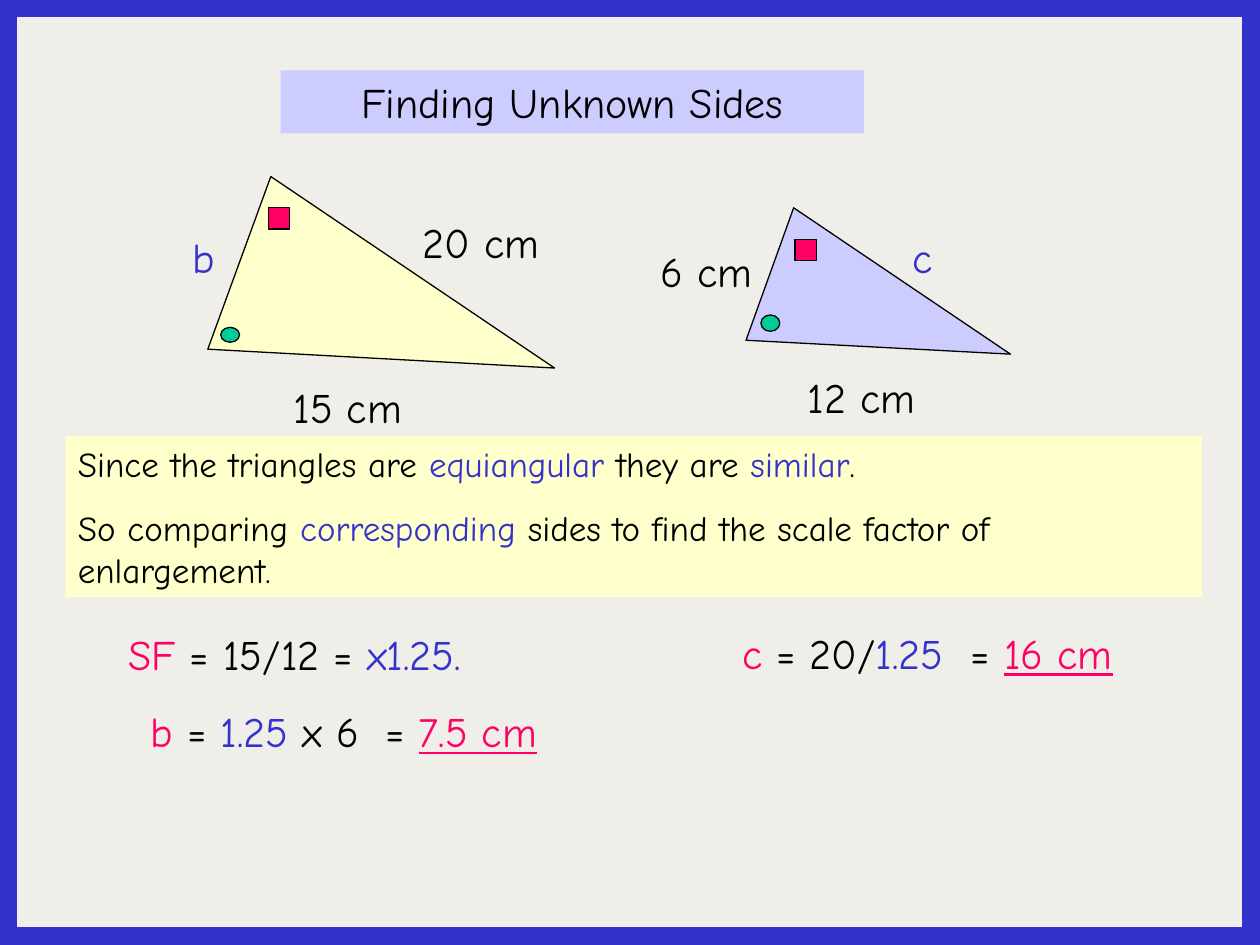
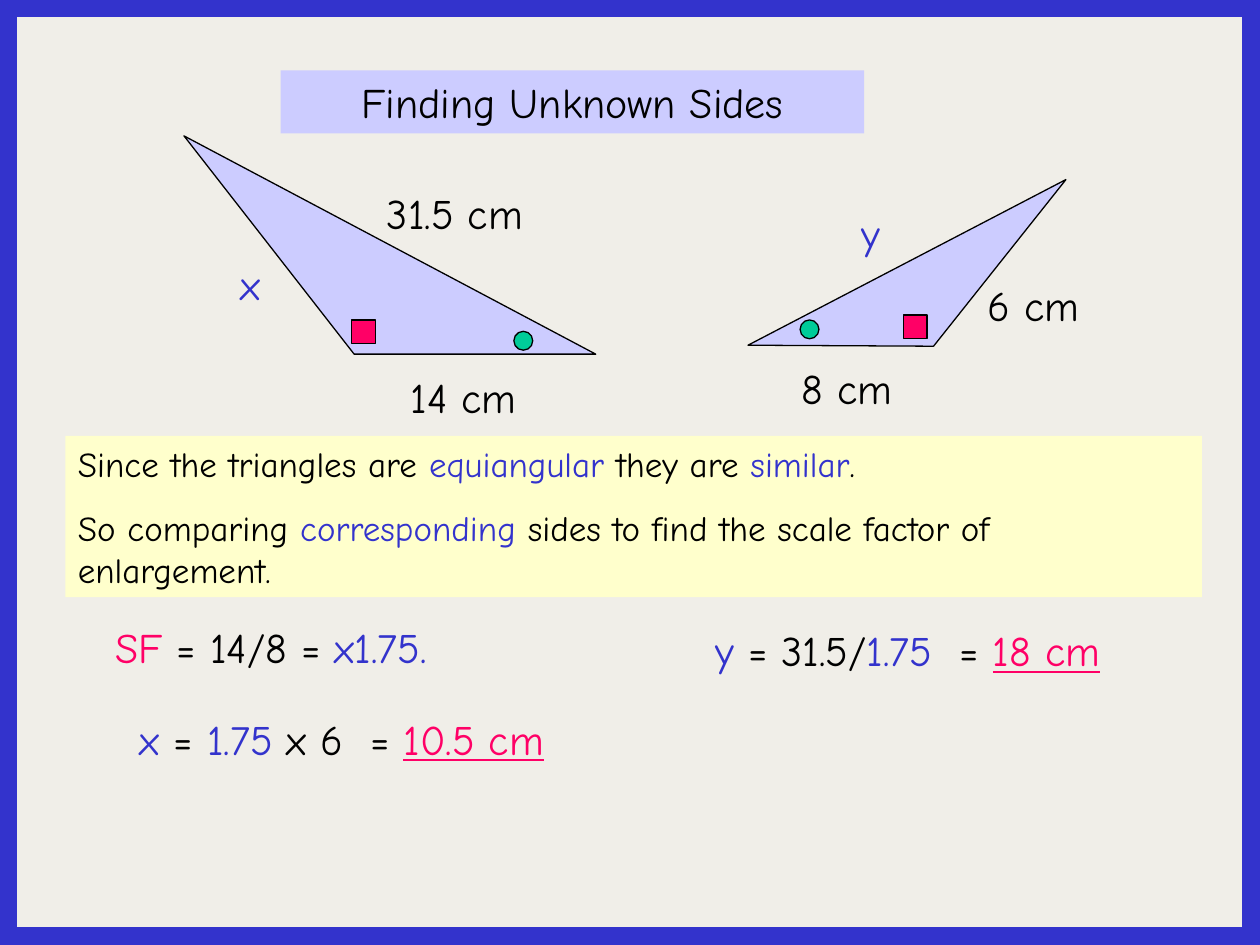
from lxml import etree
from pptx import Presentation
from pptx.dml.color import RGBColor
from pptx.enum.shapes import MSO_SHAPE
from pptx.enum.text import MSO_ANCHOR, PP_ALIGN
from pptx.oxml.ns import qn
from pptx.util import Cm, Pt

RECT, OVAL = MSO_SHAPE.RECTANGLE, MSO_SHAPE.OVAL
LEFT, CENTER = PP_ALIGN.LEFT, PP_ALIGN.CENTER
TOP = MSO_ANCHOR.TOP
FONT = "Comic Neue"
WIDTH, HEIGHT = 25.4, 19.05
LINE_HEIGHT = 1.27
PAPER, BLACK, BLUE, PINK = "F0EEE8", "000000", "3333CC", "FF0066"
LILAC, CREAM, GREEN = "CCCCFF", "FFFFCC", "00CC99"

EXPLANATION = [
    [("Since the triangles are ", BLACK), ("equiangular", BLUE),
     (" they are ", BLACK), ("similar", BLUE), (".", BLACK)],
    [("So comparing ", BLACK), ("corresponding", BLUE),
     (" sides to find the scale factor of enlargement.", BLACK)],
]


def rgb(code):
    """Turn a hex string into a colour."""
    return RGBColor.from_string(code)


def style(shape, fill=None, line=None, width=0.75):
    """Set the fill and outline of a shape and drop its shadow."""
    shape.shadow.inherit = False
    if fill:
        shape.fill.solid()
        shape.fill.fore_color.rgb = rgb(fill)
    else:
        shape.fill.background()
    if line:
        shape.line.color.rgb = rgb(line)
        shape.line.width = Pt(width)
    else:
        shape.line.fill.background()


def add_box(s, kind, x, y, w, h, fill=None, line=None, width=0.75):
    """Add a preset shape measured in centimetres."""
    shape = s.shapes.add_shape(kind, Cm(x), Cm(y), Cm(w), Cm(h))
    style(shape, fill, line, width)
    return shape


def add_tab(p, position):
    """Give a paragraph one left tab stop."""
    tabs = etree.SubElement(p._p.get_or_add_pPr(), qn("a:tabLst"))
    etree.SubElement(tabs, qn("a:tab"), pos=str(Cm(position)), algn="l")


def write(shape, paragraphs, size=24, align=LEFT, tab=None):
    """Write paragraphs of (text, colour) runs; answers are underlined."""
    tf = shape.text_frame
    tf.word_wrap = True
    tf.vertical_anchor = TOP
    for i, runs in enumerate(paragraphs):
        p = tf.add_paragraph() if i else tf.paragraphs[0]
        p.alignment = align
        if i:
            p.space_before = Pt(12.5)
        if tab:
            add_tab(p, tab)
        for text, colour, *underline in runs:
            r = p.add_run()
            r.text = text
            r.font.name = FONT
            r.font.size = Pt(size)
            r.font.color.rgb = rgb(colour)
            if underline:
                r.font.underline = True


def add_triangle(s, corners, fill):
    """Draw a closed triangle through three corners."""
    points = [(Cm(x), Cm(y)) for x, y in corners]
    builder = s.shapes.build_freeform(*points[0])
    builder.add_line_segments(points[1:], close=True)
    style(builder.convert_to_shape(), fill, BLACK)


def add_square_mark(s, x, y, size):
    """Mark an angle with a pink square."""
    add_box(s, RECT, x, y, size, size, PINK, BLACK)


def add_round_mark(s, x, y, h=0.38):
    """Mark an angle with a green dot."""
    add_box(s, OVAL, x, y, 0.38, h, GREEN, BLACK)


def add_label(s, text, middle, y, w=2.79):
    """Label a side, centred on a point; unknown sides are blue."""
    unknown = len(text) == 1
    w = 1.22 if unknown else w
    tb = s.shapes.add_textbox(Cm(middle - w / 2), Cm(y), Cm(w), Cm(LINE_HEIGHT))
    write(tb, [[(text, BLUE if unknown else BLACK)]], align=CENTER)


def add_working(s, runs, x, y, w=9.47, tab=None):
    """Add one line of the solution."""
    tb = s.shapes.add_textbox(Cm(x), Cm(y), Cm(w), Cm(LINE_HEIGHT))
    write(tb, [runs], tab=tab)


def add_lesson_slide(prs):
    """Add a slide with the frame, title and explanation."""
    s = prs.slides.add_slide(prs.slide_layouts[6])
    s.background.fill.solid()
    s.background.fill.fore_color.rgb = rgb(PAPER)
    add_box(s, RECT, 0, 0, WIDTH, HEIGHT, line=BLUE, width=20)
    title = add_box(s, RECT, 5.66, 1.42, 11.76, LINE_HEIGHT, LILAC)
    write(title, [[("Finding Unknown Sides", BLACK)]], align=CENTER)
    note = add_box(s, RECT, 1.32, 8.79, 22.91, 3.25, CREAM)
    write(note, EXPLANATION, size=20)
    return s


def build_sides_b_c(prs):
    """Build the example with unknown sides b and c."""
    s = add_lesson_slide(prs)
    add_triangle(s, [(4.19, 7.04), (5.46, 3.56), (11.18, 7.42)], CREAM)
    add_triangle(s, [(15.04, 6.86), (16, 4.19), (20.37, 7.14)], LILAC)
    add_round_mark(s, 4.45, 6.6, 0.3)
    add_round_mark(s, 15.34, 6.35, 0.33)
    add_square_mark(s, 5.41, 4.19, 0.43)
    add_square_mark(s, 16.03, 4.83, 0.43)
    add_label(s, "20 cm", 9.7, 4.24, 3.86)
    add_label(s, "15 cm", 7.01, 7.57)
    add_label(s, "12 cm", 17.37, 7.37)
    add_label(s, "6 cm", 14.25, 4.83)
    add_label(s, "b", 4.11, 4.55)
    add_label(s, "c", 18.59, 4.55)
    add_working(s, [("SF ", PINK), ("= 15/12 = ", BLACK), ("x1.25.", BLUE)],
                2.34, 12.55)
    add_working(s, [("b ", PINK), ("= ", BLACK), ("1.25", BLUE),
                    (" x 6\t= ", BLACK), ("7.5 cm", PINK, True)],
                2.79, 14.1, 10.34, tab=4.73)
    add_working(s, [("c ", PINK), ("= 20/", BLACK), ("1.25", BLUE),
                    ("\t= ", BLACK), ("16 cm", PINK, True)],
                14.71, 12.52, tab=4.61)


def build_sides_x_y(prs):
    """Build the example with unknown sides x and y."""
    s = add_lesson_slide(prs)
    add_triangle(s, [(3.71, 2.74), (7.14, 7.14), (12.01, 7.14)], LILAC)
    add_triangle(s, [(21.49, 3.62), (18.82, 6.98), (15.08, 6.96)], LILAC)
    add_square_mark(s, 7.09, 6.45, 0.48)
    add_square_mark(s, 18.21, 6.35, 0.48)
    add_round_mark(s, 10.36, 6.68)
    add_round_mark(s, 16.13, 6.45)
    add_label(s, "31.5 cm", 9.17, 3.66, 3.86)
    add_label(s, "14 cm", 9.35, 7.37)
    add_label(s, "8 cm", 17.07, 7.19)
    add_label(s, "6 cm", 20.83, 5.51)
    add_label(s, "x", 5.05, 5.08)
    add_label(s, "y", 17.55, 4.06)
    add_working(s, [("SF ", PINK), ("= 14/8 = ", BLACK), ("x1.75.", BLUE)],
                2.08, 12.4)
    add_working(s, [("x ", BLUE), ("= ", BLACK), ("1.75", BLUE),
                    (" x 6\t= ", BLACK), ("10.5 cm", PINK, True)],
                2.57, 14.25, tab=4.64)
    add_working(s, [("y ", BLUE), ("= 31.5/", BLACK), ("1.75", BLUE),
                    ("\t= ", BLACK), ("18 cm", PINK, True)],
                14.17, 12.47, tab=4.92)


def main():
    """Build and save the presentation."""
    prs = Presentation()
    prs.slide_width, prs.slide_height = Cm(WIDTH), Cm(HEIGHT)
    build_sides_b_c(prs)
    build_sides_x_y(prs)
    prs.save("out.pptx")


if __name__ == "__main__":
    main()
